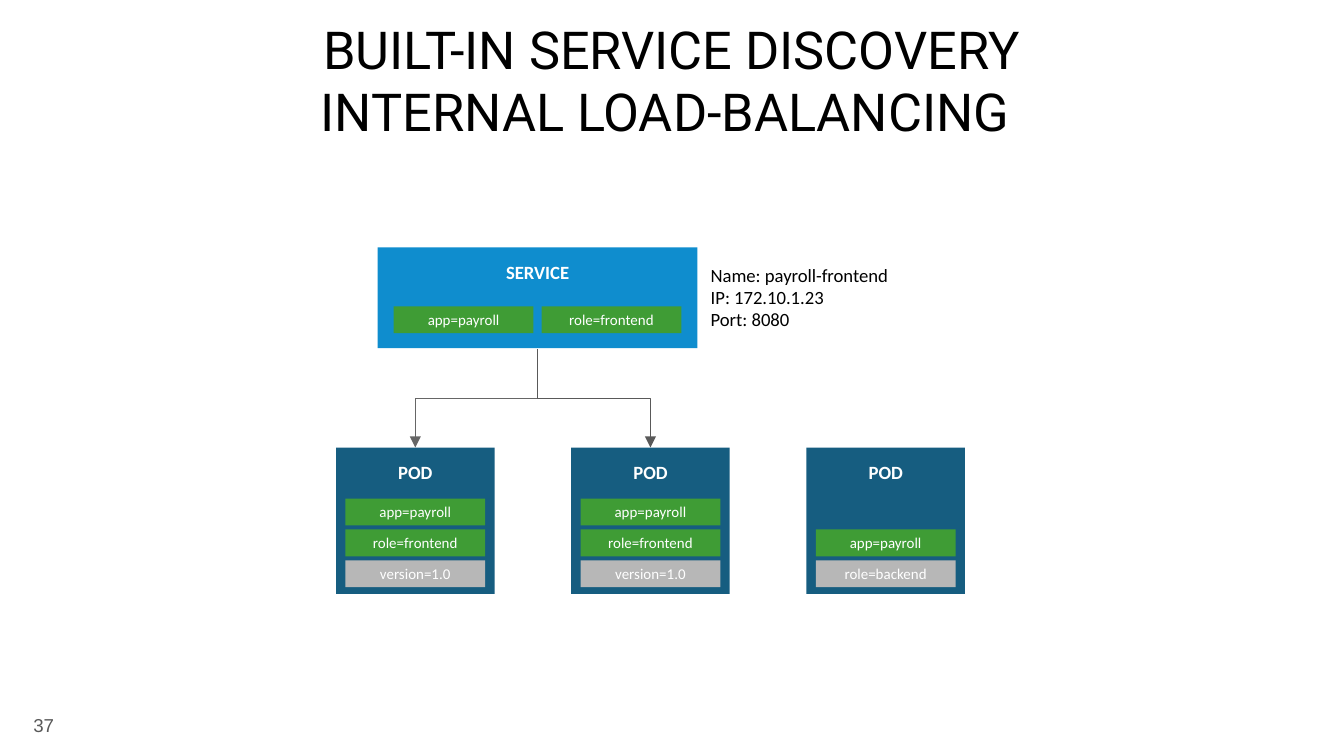
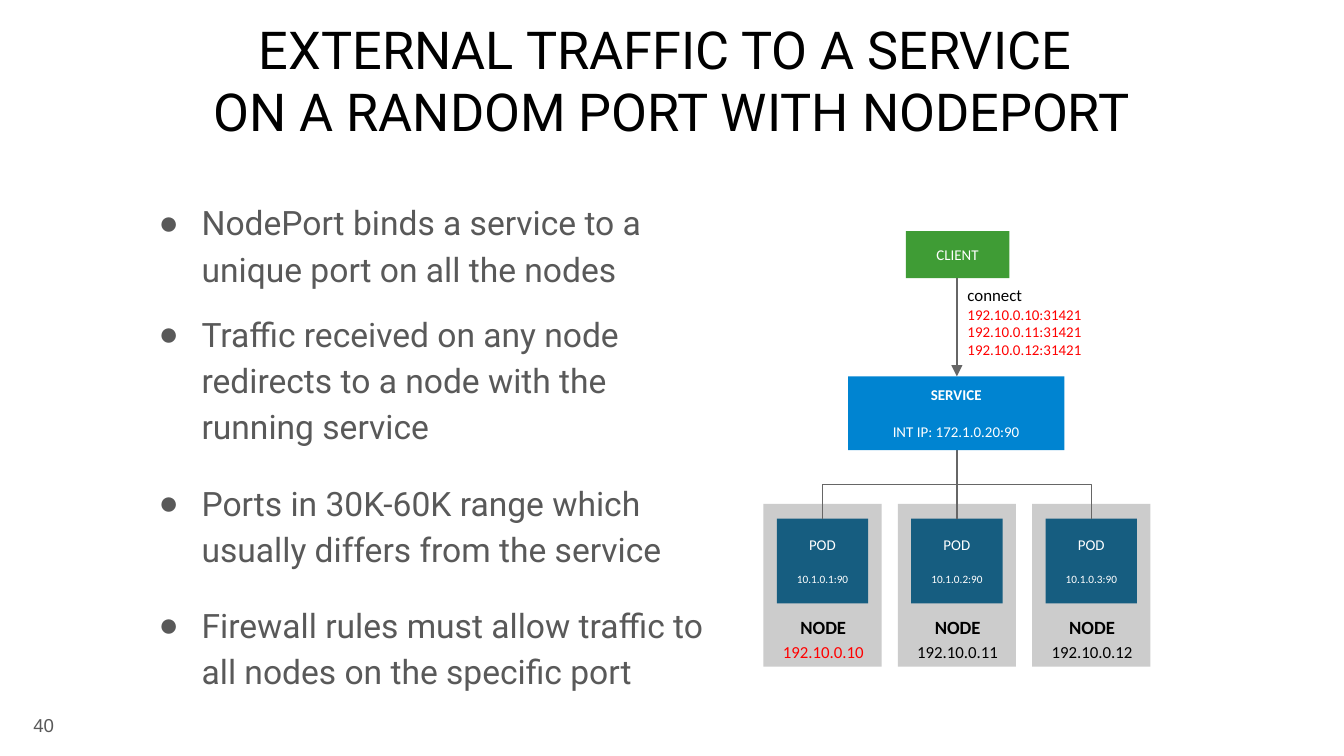
from lxml import etree
from pptx import Presentation
from pptx import util as u
from pptx.dml.color import RGBColor
from pptx.enum import shapes, text
from pptx.oxml import ns

PX = u.Inches(0.01)
BLACK, WHITE, GREY, RED = "000000", "FFFFFF", "595959", "FF0000"
GREEN, SILVER, NODE_GREY, POD_BLUE = "3F9C35", "B7B7B7", "CCCCCC", "165D80"
LINE = "666666"
LEFT, CENTER, RIGHT = text.PP_ALIGN.LEFT, text.PP_ALIGN.CENTER, text.PP_ALIGN.RIGHT
TOP, MIDDLE, BOTTOM = text.MSO_ANCHOR.TOP, text.MSO_ANCHOR.MIDDLE, text.MSO_ANCHOR.BOTTOM


def px(*lengths):
    """Turn px lengths into a list of EMU lengths."""
    return [round(length * PX) for length in lengths]


def rgb(value):
    """Turn a hex string into a colour."""
    return RGBColor.from_string(value)


def prepare(shape, anchor=TOP, margin=10):
    """Set wrapping, anchor and insets of a shape's text."""
    frame = shape.text_frame
    frame.word_wrap = True
    frame.auto_size = text.MSO_AUTO_SIZE.NONE
    frame.vertical_anchor = anchor
    inset, = px(margin)
    frame.margin_left = frame.margin_right = inset
    frame.margin_top = frame.margin_bottom = inset
    return shape


def write(shape, words, size=10, color=WHITE, font="Calibri", bold=False,
          align=CENTER, spacing=1.0, before=0, after=0):
    """Append one formatted paragraph, with \\n as a line break."""
    frame = shape.text_frame
    paragraph = frame.add_paragraph() if frame.text else frame.paragraphs[0]
    paragraph.text = words.replace("\n", "\v")
    paragraph.alignment = align
    paragraph.line_spacing = spacing
    paragraph.space_before, paragraph.space_after = u.Pt(before), u.Pt(after)
    for run in paragraph.runs:
        run.font.name, run.font.size, run.font.bold = font, u.Pt(size), bold
        run.font.color.rgb = rgb(color)
    return paragraph


def add_box(slide, x, y, width, height, fill, anchor=TOP, margin=10):
    """Add a plain filled rectangle."""
    shape = slide.shapes.add_shape(shapes.MSO_SHAPE.RECTANGLE, *px(x, y, width, height))
    shape.shadow.inherit = False
    shape.fill.solid()
    shape.fill.fore_color.rgb = rgb(fill)
    shape.line.fill.background()
    return prepare(shape, anchor, margin)


def add_label(slide, x, y, width, height, anchor=TOP):
    """Add an empty text box."""
    return prepare(slide.shapes.add_textbox(*px(x, y, width, height)), anchor)


def add_tag(slide, x, y, words, fill=GREEN):
    """Add a small key=value tag."""
    write(add_box(slide, x, y, 104, 20, fill, MIDDLE, 0), words, size=8)


def add_link(slide, start, end, color=LINE, arrow=False):
    """Add a downward connector that bends halfway when its ends are offset."""
    (x1, y1), (x2, y2) = start, end
    kind = shapes.MSO_CONNECTOR.STRAIGHT
    points, rotation = (x1, y1, x2, y2), 0
    if x1 != x2:
        kind = shapes.MSO_CONNECTOR.ELBOW
        side = 1 if x2 < x1 else -1
        rotation = 90 if side == 1 else 270
        center_x, center_y = (x1 + x2) / 2, (y1 + y2) / 2
        half_x, half_y = side * (x2 - x1) / 2, side * (y2 - y1) / 2
        points = (center_x - half_y, center_y + half_x,
                  center_x + half_y, center_y - half_x)
    connector = slide.shapes.add_connector(kind, *px(*points))
    connector.line.color.rgb = rgb(color)
    connector.line.width = u.Pt(0.75)
    properties = connector._element.spPr
    if rotation:
        properties.find(ns.qn("a:xfrm")).set("rot", str(rotation * 60000))
    if arrow:
        etree.SubElement(properties.find(ns.qn("a:ln")), ns.qn("a:tailEnd"), type="triangle")
    etree.SubElement(properties, ns.qn("a:effectLst"))


def place(placeholder, x, y, width, height, anchor=TOP):
    """Move a placeholder and prepare its text."""
    placeholder.left, placeholder.top, placeholder.width, placeholder.height = px(
        x, y, width, height)
    return prepare(placeholder, anchor)


def add_slide(presentation, layout, title, number):
    """Add a slide with its title and number."""
    slide = presentation.slides.add_slide(presentation.slide_layouts[layout])
    write(place(slide.shapes.title, 90, 0, 819, 116, BOTTOM), title,
          size=28, color=BLACK, font="Roboto")
    write(add_label(slide, 11, 518, 39, 43, MIDDLE), number,
          color=GREY, font="Arial", align=RIGHT)
    return slide


def add_bullet(body, words, before, after=0):
    """Append one bulleted paragraph."""
    paragraph = write(body, words, size=18, color=GREY, font="Roboto", align=LEFT,
                      spacing=1.15, before=before, after=after)
    properties = paragraph._p.get_or_add_pPr()
    margin, indent = px(50, -32)
    properties.set("marL", str(margin))
    properties.set("indent", str(indent))
    color = etree.SubElement(properties, ns.qn("a:buClr"))
    etree.SubElement(color, ns.qn("a:srgbClr"), val=GREY)
    etree.SubElement(properties, ns.qn("a:buFont"), typeface="Arial")
    etree.SubElement(properties, ns.qn("a:buChar"), char="●")


def add_labelled_pod(slide, x, tags):
    """Add a pod whose tags are stacked up from its bottom edge."""
    write(add_box(slide, x, 333, 118, 109, POD_BLUE), "POD", bold=True)
    for row, (words, fill) in enumerate(reversed(tags)):
        add_tag(slide, x + 7, 417 - 23 * row, words, fill)


def add_node(slide, x, node_address, pod_address, color):
    """Add a node that holds one pod."""
    add_box(slide, x, 375, 88, 121, NODE_GREY)
    label = add_label(slide, x + 2, 446, 85, 46)
    write(label, "NODE", color=BLACK, bold=True, spacing=1.15)
    write(label, node_address, size=9, color=color, spacing=1.15)
    pod = add_box(slide, x + 10, 386, 68, 63, POD_BLUE, MIDDLE)
    write(pod, "POD", size=8)
    write(pod, pod_address, size=6, before=10)


def build_discovery(presentation):
    """Build the slide on service discovery."""
    slide = add_slide(presentation, 5,
                      "BUILT-IN SERVICE DISCOVERY\nINTERNAL LOAD-BALANCING ", "37")
    write(add_box(slide, 281, 184, 238, 75, "0F8DCE"), "SERVICE", bold=True)
    add_tag(slide, 293, 228, "app=payroll")
    add_tag(slide, 403, 228, "role=frontend")
    details = add_label(slide, 519, 186, 254, 75)
    for line in ("Name: payroll-frontend", "IP: 172.10.1.23", "Port: 8080"):
        write(details, line, color=BLACK, align=LEFT)
    app = ("app=payroll", GREEN)
    frontend = [app, ("role=frontend", GREEN), ("version=1.0", SILVER)]
    backend = [app, ("role=backend", SILVER)]
    for column, tags in enumerate((frontend, frontend, backend)):
        add_labelled_pod(slide, 250 + 175 * column, tags)
    for x, color in ((309, LINE), (484, GREY)):
        add_link(slide, (400, 260), (x, 333), color, arrow=True)


def build_node_port(presentation):
    """Build the slide on external traffic."""
    slide = add_slide(presentation, 1,
                      "EXTERNAL TRAFFIC TO A SERVICE \nON A RANDOM PORT WITH NODEPORT", "40")
    body = place(slide.placeholders[1], 90, 136, 456, 325)
    add_bullet(body, "NodePort binds a service to a unique port on all the nodes", 0)
    add_bullet(body, "Traffic received on any node redirects to a node with the running service", 10)
    add_bullet(body, "Ports in 30K-60K range which usually differs from the service", 16)
    add_bullet(body, "Firewall rules must allow traffic to all nodes on the specific port", 16, 16)

    addresses = [f"192.10.0.{10 + index}" for index in range(3)]
    for index, address in enumerate(addresses):
        x = 568 + 100 * index
        add_node(slide, x, address, f"10.1.0.{index + 1}:90", BLACK if index else RED)
        add_link(slide, (712, 335), (x + 44, 386))
    service = add_box(slide, 631, 280, 161, 55, "0084D1", MIDDLE)
    write(service, "SERVICE", size=8, bold=True)
    write(service, "INT IP: 172.1.0.20:90", size=8, before=10)
    connect = add_label(slide, 710, 202, 121, 69)
    write(connect, "connect", size=9, color=BLACK, align=LEFT)
    for address in addresses:
        write(connect, f"{address}:31421", size=8, color=RED, align=LEFT)
    write(add_box(slide, 674, 172, 77, 35, GREEN, MIDDLE), "CLIENT", size=8)
    add_link(slide, (712, 207), (712, 280), arrow=True)


def main():
    """Build and save the presentation."""
    presentation = Presentation()
    presentation.slide_width, = px(1000)
    presentation.slide_height = presentation.slide_width * 9 // 16
    build_discovery(presentation)
    build_node_port(presentation)
    presentation.save("out.pptx")


if __name__ == "__main__":
    main()
